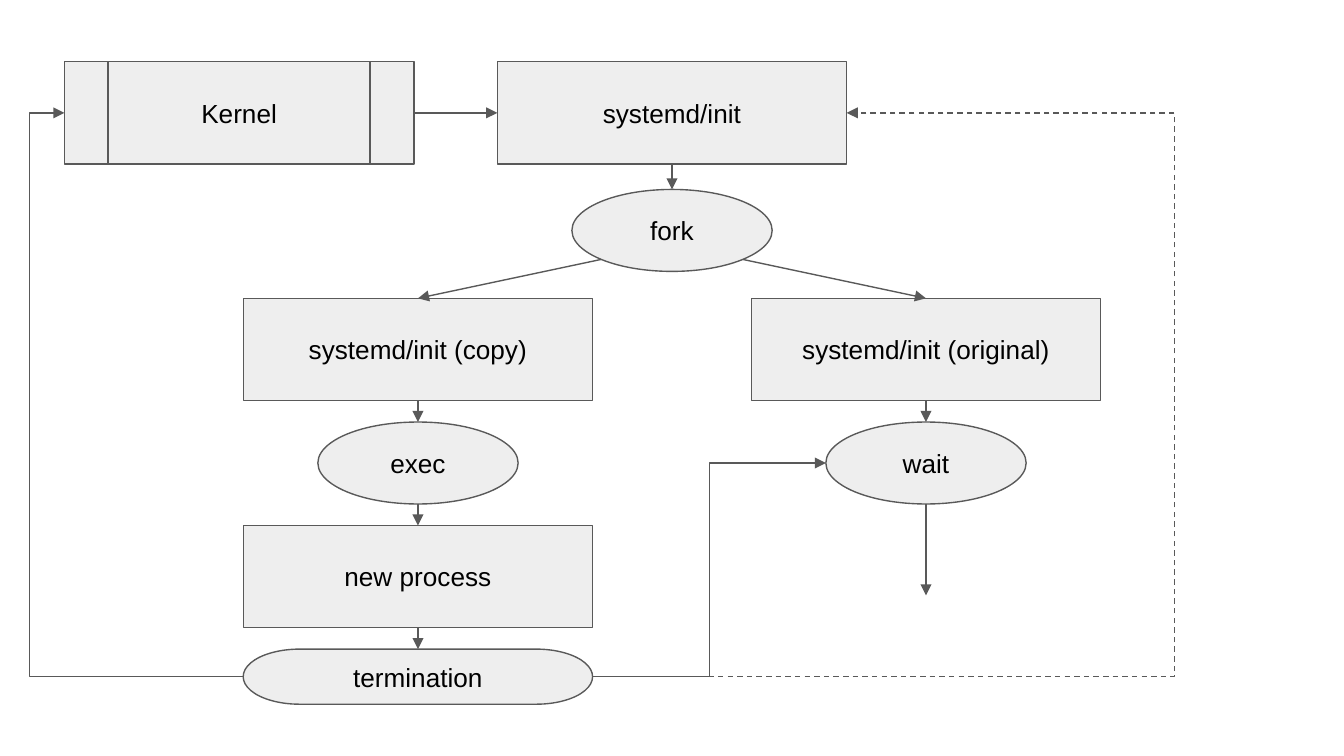
from dataclasses import dataclass
from typing import Optional

from lxml import etree
from pptx import Presentation
from pptx.dml.color import RGBColor
from pptx.enum.dml import MSO_LINE
from pptx.enum.shapes import MSO_CONNECTOR, MSO_SHAPE
from pptx.enum.text import MSO_ANCHOR, PP_ALIGN
from pptx.oxml.ns import qn
from pptx.util import Inches, Pt

SLIDE_WIDTH = 10
SLIDE_HEIGHT = SLIDE_WIDTH * 9 / 16
FILL = RGBColor(0xEE, 0xEE, 0xEE)
STROKE = RGBColor(0x59, 0x59, 0x59)
BLACK = RGBColor(0, 0, 0)
STROKE_WIDTH = Pt(0.75)
RECTANGLE = MSO_SHAPE.RECTANGLE
PREDEFINED = MSO_SHAPE.FLOWCHART_PREDEFINED_PROCESS
OVAL = MSO_SHAPE.FLOWCHART_CONNECTOR
TERMINATOR = MSO_SHAPE.FLOWCHART_TERMINATOR
STRAIGHT, ELBOW = MSO_CONNECTOR.STRAIGHT, MSO_CONNECTOR.ELBOW
DASH = MSO_LINE.DASH
CENTER, MIDDLE = PP_ALIGN.CENTER, MSO_ANCHOR.MIDDLE
TOP, LEFT, BOTTOM, RIGHT = range(4)
DIAGONAL = 0.5 ** 0.5

SIZES = {
    RECTANGLE: (2.6, 0.76),
    PREDEFINED: (2.6, 0.76),
    OVAL: (1.49, 0.61),
    TERMINATOR: (2.6, 0.41),
}
KERNEL_X, COPY_X, INIT_X, ORIGINAL_X = 1.78, 3.11, 5.0, 6.89


@dataclass(frozen=True)
class Node:
    text: str
    kind: MSO_SHAPE
    center_x: float
    top: float

    @property
    def width(self) -> float:
        return SIZES[self.kind][0]

    @property
    def height(self) -> float:
        return SIZES[self.kind][1]

    def side(self, site: int) -> tuple[float, float]:
        dx, dy = ((0, -0.5), (-0.5, 0), (0, 0.5), (0.5, 0))[site]
        return (self.center_x + dx * self.width,
                self.top + (0.5 + dy) * self.height)

    def lower_corner(self, direction: int) -> tuple[float, float]:
        """Point on an oval's outline at 45 degrees below its centre line."""
        return (self.center_x + direction * DIAGONAL * self.width / 2,
                self.top + (1 + DIAGONAL) * self.height / 2)


@dataclass(frozen=True)
class Arrow:
    start: Node
    start_site: int
    end: Node
    end_site: int


@dataclass(frozen=True)
class Detour:
    """Elbow arrow whose upright part runs at turn_x."""
    route: Arrow
    turn_x: float
    dash: Optional[MSO_LINE] = None


KERNEL = Node("Kernel", PREDEFINED, KERNEL_X, 0.46)
INIT = Node("systemd/init", RECTANGLE, INIT_X, 0.46)
FORK = Node("fork", OVAL, INIT_X, 1.41)
COPY = Node("systemd/init (copy)", RECTANGLE, COPY_X, 2.22)
ORIGINAL = Node("systemd/init (original)", RECTANGLE, ORIGINAL_X, 2.22)
EXEC = Node("exec", OVAL, COPY_X, 3.14)
WAIT = Node("wait", OVAL, ORIGINAL_X, 3.14)
PROCESS = Node("new process", RECTANGLE, COPY_X, 3.91)
TERMINATION = Node("termination", TERMINATOR, COPY_X, 4.83)
NODES = (KERNEL, INIT, COPY, ORIGINAL, FORK, EXEC, PROCESS, WAIT, TERMINATION)

ARROWS = (
    Arrow(KERNEL, RIGHT, INIT, LEFT),
    Arrow(INIT, BOTTOM, FORK, TOP),
    Arrow(COPY, BOTTOM, EXEC, TOP),
    Arrow(EXEC, BOTTOM, PROCESS, TOP),
    Arrow(PROCESS, BOTTOM, TERMINATION, TOP),
    Arrow(ORIGINAL, BOTTOM, WAIT, TOP),
)
DETOURS = (
    Detour(Arrow(TERMINATION, RIGHT, WAIT, LEFT), 5.28),
    Detour(Arrow(TERMINATION, RIGHT, INIT, RIGHT), 8.74, DASH),
    Detour(Arrow(TERMINATION, LEFT, KERNEL, LEFT), 0.22),
)


def draw_node(page, node: Node):
    left = node.center_x - node.width / 2
    box = page.shapes.add_shape(node.kind, Inches(left), Inches(node.top),
                                Inches(node.width), Inches(node.height))
    box.shadow.inherit = False
    box.fill.solid()
    box.fill.fore_color.rgb = FILL
    box.line.color.rgb = STROKE
    box.line.width = STROKE_WIDTH
    frame = box.text_frame
    frame.word_wrap = True
    frame.vertical_anchor = MIDDLE
    frame.margin_left = frame.margin_right = Inches(0.1)
    frame.margin_top = frame.margin_bottom = Inches(0.1)
    para = frame.paragraphs[0]
    para.text = node.text
    para.alignment = CENTER
    para.font.name = "Arial"
    para.font.size = Pt(14)
    para.font.color.rgb = BLACK
    return box


def draw_line(page, start: tuple[float, float], end: tuple[float, float],
              kind: MSO_CONNECTOR = STRAIGHT):
    line = page.shapes.add_connector(
        kind, *(Inches(value) for value in (*start, *end)))
    line.line.color.rgb = STROKE
    line.line.width = STROKE_WIDTH
    properties = line._element.spPr
    etree.SubElement(properties.find(qn("a:ln")), qn("a:tailEnd"), type="triangle")
    etree.SubElement(properties, qn("a:effectLst"))
    return line


def draw_arrow(page, arrow: Arrow, boxes: dict) -> None:
    line = draw_line(page, arrow.start.side(arrow.start_site),
                     arrow.end.side(arrow.end_site))
    # Ovals number their eight sites differently; only the top is shared.
    if arrow.start.kind != OVAL:
        line.begin_connect(boxes[arrow.start], arrow.start_site)
    if arrow.end.kind != OVAL or arrow.end_site == TOP:
        line.end_connect(boxes[arrow.end], arrow.end_site)


def draw_detour(page, detour: Detour) -> None:
    route = detour.route
    start = route.start.side(route.start_site)
    end = route.end.side(route.end_site)
    line = draw_line(page, start, end, ELBOW)
    if detour.dash is not None:
        line.line.dash_style = detour.dash
    turn = round((detour.turn_x - start[0]) / (end[0] - start[0]) * 100000)
    geometry = line._element.spPr.find(qn("a:prstGeom"))
    guides = geometry.find(qn("a:avLst"))
    if guides is None:
        guides = etree.SubElement(geometry, qn("a:avLst"))
    etree.SubElement(guides, qn("a:gd"), name="adj1", fmla=f"val {turn}")


def main() -> None:
    deck = Presentation()
    deck.slide_width, deck.slide_height = Inches(SLIDE_WIDTH), Inches(SLIDE_HEIGHT)
    page = deck.slides.add_slide(deck.slide_layouts[6])
    boxes = {node: draw_node(page, node) for node in NODES}
    for arrow in ARROWS:
        draw_arrow(page, arrow, boxes)
    for child, direction in ((COPY, -1), (ORIGINAL, 1)):
        branch = draw_line(page, FORK.lower_corner(direction), child.side(TOP))
        branch.end_connect(boxes[child], TOP)
    draw_line(page, WAIT.side(BOTTOM), (ORIGINAL_X, 4.43))
    for detour in DETOURS:
        draw_detour(page, detour)
    deck.save("out.pptx")


if __name__ == "__main__":
    main()
